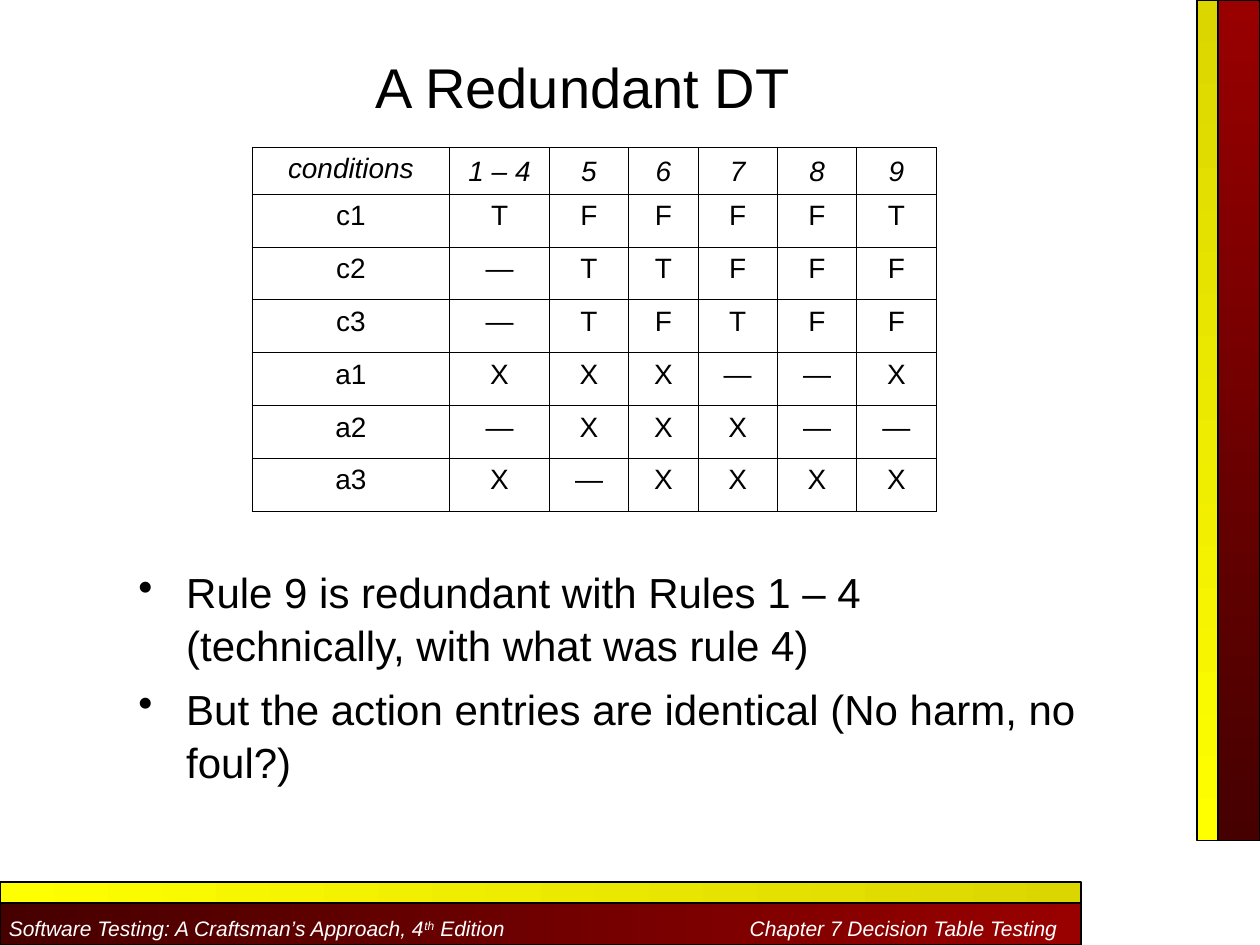
from lxml import etree
from pptx import Presentation
from pptx.dml.color import RGBColor
from pptx.enum.shapes import MSO_SHAPE
from pptx.enum.text import MSO_ANCHOR, PP_ALIGN
from pptx.oxml.ns import qn
from pptx.util import Inches, Pt

RECT = MSO_SHAPE.RECTANGLE
TOP, BOTTOM = MSO_ANCHOR.TOP, MSO_ANCHOR.BOTTOM
LEFT, CENTER = PP_ALIGN.LEFT, PP_ALIGN.CENTER

RED, MAROON = "990000", "460000"
GOLD, YELLOW = "DBD600", "FFFF00"
BLACK, WHITE = "000000", "FFFFFF"

COLS = [1.57, 0.79, 0.63, 0.55, 0.63, 0.63, 0.63]
ROWS = [0.37] + [0.42] * 6
RULES = [
    ["conditions", "1 – 4", "5", "6", "7", "8", "9"],
    ["c1", *"TFFFFT"],
    ["c2", *"—TTFFF"],
    ["c3", *"—TFTFF"],
    ["a1", *"XXX——X"],
    ["a2", *"—XXX——"],
    ["a3", *"X—XXXX"],
]
POINTS = [
    "Rule 9 is redundant with Rules 1 – 4 (technically, with what was rule 4)",
    "But the action entries are identical (No harm, no foul?)",
]
FOOTER = ("Software Testing: A Craftsman’s Approach, 4^th^ Edition"
          "\tChapter 7 Decision Table Testing")


def paint(code):
    """Turn a hex string into a colour."""
    return RGBColor.from_string(code)


def inset(frame, left=0.1, top=0.05, right=0.1, bottom=0.05):
    """Set the inner margins of a text frame and let it wrap."""
    frame.word_wrap = True
    frame.margin_left, frame.margin_right = Inches(left), Inches(right)
    frame.margin_top, frame.margin_bottom = Inches(top), Inches(bottom)


def write(frame, *lines, size=16, color=BLACK, italic=False, align=LEFT,
          gap=0, pitch=None, hang=0, tab=0):
    """Write one paragraph per line; text between carets is superscript."""
    for i, line in enumerate(lines):
        para = frame.paragraphs[0] if i == 0 else frame.add_paragraph()
        props = para._p.get_or_add_pPr()
        if hang:
            props.set("marL", str(Inches(hang)))
            props.set("indent", str(-Inches(hang)))
            etree.SubElement(props, qn("a:buChar"), char="•")
        if tab:
            stops = etree.SubElement(props, qn("a:tabLst"))
            etree.SubElement(stops, qn("a:tab"), pos=str(Inches(tab)), algn="l")
        para.alignment = align
        para.line_spacing = pitch
        para.space_before = Pt(gap if i else 0)
        for j, part in enumerate(line.split("^")):
            run = para.add_run()
            run.text = part
            font = run.font
            font.name, font.size, font.italic = "Arial", Pt(size), italic
            font.color.rgb = paint(color)
            if j % 2:
                run._r.get_or_add_rPr().set("baseline", "30000")


def band(slide, box, start, end, angle):
    """Draw an outlined bar that shades from one colour to another."""
    bar = slide.shapes.add_shape(RECT, *map(Inches, box))
    bar.shadow.inherit = False
    bar.fill.gradient()
    bar.fill.gradient_angle = angle
    for stop, code in zip(bar.fill.gradient_stops, (start, end)):
        stop.color.rgb = paint(code)
    bar.line.color.rgb = paint(BLACK)
    bar.line.width = Pt(0.75)
    return bar


def side(slide, x, y, w, h):
    """Draw the upright yellow and red bars."""
    thin = w / 3
    band(slide, (x + thin, y, w - thin, h), RED, MAROON, 270)
    band(slide, (x, y, thin, h), GOLD, YELLOW, 270)


def foot(slide, x, y, w, h):
    """Draw the bottom bars with the book and chapter names."""
    thin = h / 3
    bar = band(slide, (x, y + thin, w, h - thin), MAROON, RED, 0)
    band(slide, (x, y, w, thin), YELLOW, GOLD, 0)
    inset(bar.text_frame, 0.07, 0.07, 0, 0)
    write(bar.text_frame, FOOTER, size=12, color=WHITE, italic=True, tab=5.88)


def head(slide, *box):
    """Place the slide title."""
    title = slide.shapes.add_textbox(*map(Inches, box))
    title.fill.solid()
    title.fill.fore_color.rgb = paint(WHITE)
    inset(title.text_frame, top=0.09, bottom=0)
    write(title.text_frame, "A Redundant DT", size=32, align=CENTER)


def body(slide, *box):
    """Place the bulleted remarks."""
    frame = slide.shapes.add_textbox(*map(Inches, box)).text_frame
    inset(frame, top=0.06)
    write(frame, *POINTS, size=24, gap=6, pitch=1.05, hang=0.38)


def edge(cell):
    """Rule all four sides of a cell in black."""
    props = cell._tc.get_or_add_tcPr()
    for i, name in enumerate(("lnL", "lnR", "lnT", "lnB")):
        line = etree.Element(qn(f"a:{name}"), w=str(Pt(0.45)))
        fill = etree.SubElement(line, qn("a:solidFill"))
        etree.SubElement(fill, qn("a:srgbClr"), val=BLACK)
        props.insert(i, line)


def grid(slide, x, y):
    """Build the decision table."""
    box = map(Inches, (x, y, sum(COLS), sum(ROWS)))
    table = slide.shapes.add_table(len(ROWS), len(COLS), *box).table
    table.first_row = table.horz_banding = False
    for col, width in zip(table.columns, COLS):
        col.width = Inches(width)
    for i, (row, height) in enumerate(zip(table.rows, ROWS)):
        row.height = Inches(height)
        for j, cell in enumerate(row.cells):
            cell.fill.background()
            edge(cell)
            cell.vertical_anchor = BOTTOM if i == 0 and j else TOP
            write(cell.text_frame, RULES[i][j], italic=i == 0, align=CENTER)


def main():
    """Build and save the slide."""
    deck = Presentation()
    deck.slide_width, deck.slide_height = Inches(10), Inches(7.5)
    slide = deck.slides.add_slide(deck.slide_layouts[6])
    side(slide, 9.5, 0, 0.5, 6.67)
    foot(slide, 0, 7, 8.58, 0.5)
    head(slide, 1.5, 0.33, 6.25, 0.58)
    body(slide, 1, 4.42, 7.67, 2)
    grid(slide, 2, 1.17)
    deck.save("out.pptx")


if __name__ == "__main__":
    main()
